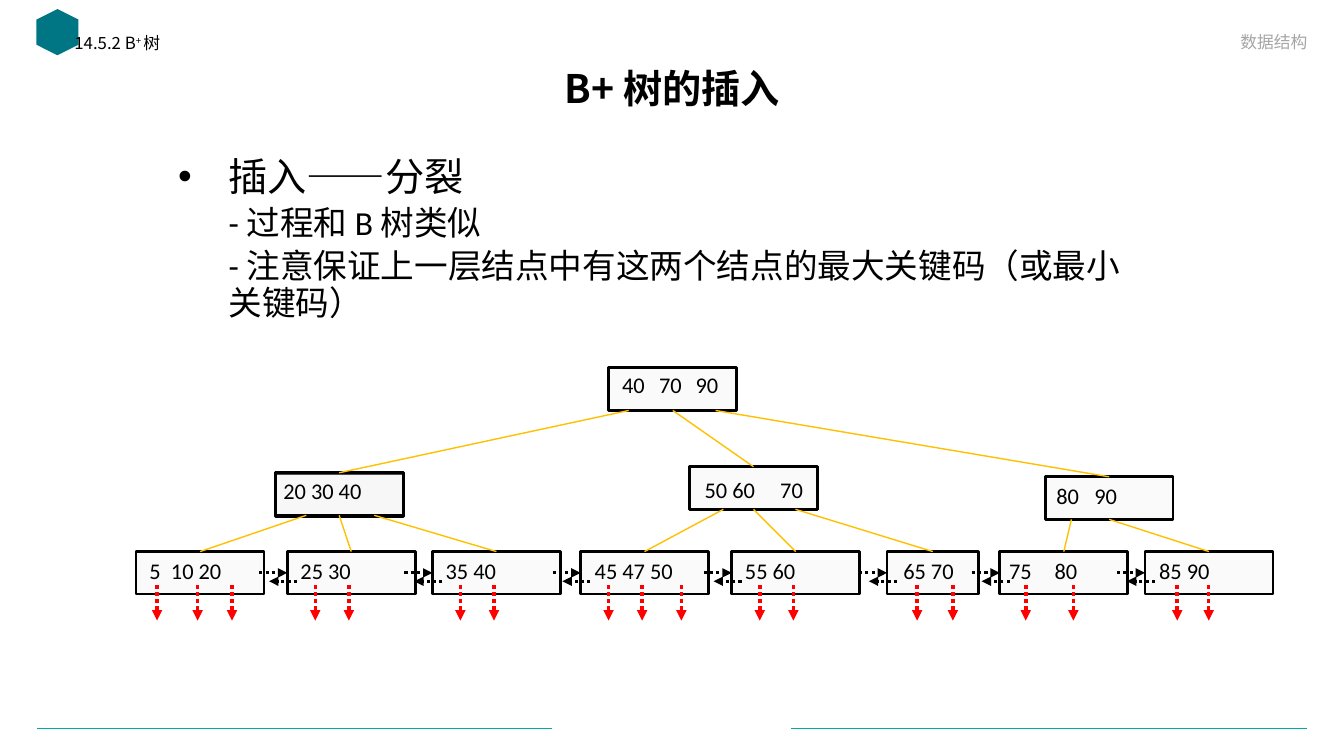
from lxml import etree
from pptx import Presentation
from pptx.dml.color import RGBColor
from pptx.enum import dml, shapes, text
from pptx.oxml.ns import qn
from pptx.util import Pt

COLORS = {
    "ink": "000000", "muted": "A6A6A6", "teal": "00ABA5", "emblem": "007684",
    "node": "F2F2F2", "branch": "FFC000", "record": "FF0000",
}
CJK = "Noto Sans CJK SC"
NODE_W, NODE_H, LEAF_TOP = 91.4, 30.4, 394
RECORD_TOP, RECORD_BOTTOM = 418, 443.3

ROOT = (434.9, 262.8, "40\t70\t90", [26.5, 52.5], 0, 1.4)
INNER = [
    (196.6, 337.7, "20 30 40", [], -3.6, 2),
    (492.5, 333.4, "50 60\t70", [54], 1.4, 5.7),
    (746.6, 340.6, "80\t90", [27], -1.4, 2.2),
]
LEAVES = [
    (97.2, NODE_W, "5\t10 20", [15.5], 0, [15, 44, 68.5]),
    (205.2, NODE_W, "25 30", [], 0, [20, 44]),
    (308.9, NODE_W, "35 40", [], 0, [20, 44]),
    (414.7, NODE_W, "45 47 50", [], 0.7, [20, 44, 72]),
    (522.7, NODE_W, "55 60", [], 0, [20, 44]),
    (633.6, 65.5, "65 70", [], 2.2, [21.5, 47]),
    (714.2, NODE_W, "75\t80", [32.5], -2.8, [18.5, 52.5]),
    (817.9, NODE_W, "85 90", [], 0.7, [23, 45.5]),
]
ROOT_BRANCHES = [-31.5, 0, 30.5]
INNER_BRANCHES = [[-23.5, 0, 25], [-21.5, 0, 30], [-27, 0]]


def color(name):
    return RGBColor.from_string(COLORS[name])


def style_run(run, size, ink="ink", latin=CJK, bold=False):
    run.font.size = Pt(size)
    run.font.bold = bold
    run.font.color.rgb = color(ink)
    run.font.name = latin
    etree.SubElement(run.font._element, qn("a:ea"), typeface=CJK)


def add_text_frame(slide, left, top, width, height):
    box = slide.shapes.add_textbox(Pt(left), Pt(top), Pt(width), Pt(height))
    frame = box.text_frame
    frame.word_wrap = True
    return frame


def add_heading(slide, place, words, size, align, anchor, **style):
    frame = add_text_frame(slide, *place)
    frame.text = words
    frame.vertical_anchor = anchor
    line = frame.paragraphs[0]
    line.alignment = align
    line.line_spacing = 0.9
    style_run(line.runs[0], size, **style)


def add_section(slide):
    line = add_text_frame(slide, 46.1, 21.6, 383, 25.9).paragraphs[0]
    line.line_spacing = 0.9
    for words, baseline in [("14.5.2 B", 0), ("+ ", 30000), ("树", 0)]:
        run = line.add_run()
        run.text = words
        style_run(run, 12)
        run.font._element.set("baseline", str(baseline))


def add_body(slide):
    frame = add_text_frame(slide, 120.2, 108.7, 697.7, 334.8)
    points = ["插入——分裂", "- 过程和 B 树类似",
              "- 注意保证上一层结点中有这两个结点的最大关键码（或最小关键码）"]
    frame.text = "\n".join(points)
    for level, point in enumerate(frame.paragraphs):
        props = point._p.get_or_add_pPr()
        props.set("marL", str(Pt(36)))
        props.set("indent", str(0 if level else -Pt(36)))
        if level:
            point.level = 1
            point.space_before = Pt(5)
        else:
            etree.SubElement(props, qn("a:buFont"), typeface="Arial")
            etree.SubElement(props, qn("a:buChar"), char="•")
        point.line_spacing = 0.9
        style_run(point.runs[0], 24 if level else 28,
                  latin="Calibri" if level else CJK)


def add_line(slide, start, end, ink, width, dotted_arrow=False):
    line = slide.shapes.add_connector(
        shapes.MSO_CONNECTOR.STRAIGHT, *[Pt(v) for v in (*start, *end)])
    line.line.color.rgb = color(ink)
    line.line.width = Pt(width)
    if dotted_arrow:
        line.line.dash_style = dml.MSO_LINE.ROUND_DOT
        etree.SubElement(line.line._get_or_add_ln(), qn("a:tailEnd"), type="triangle")
    etree.SubElement(line._element.spPr, qn("a:effectLst"))
    return line


def add_box(slide, left, top, width=NODE_W):
    box = slide.shapes.add_shape(
        shapes.MSO_SHAPE.RECTANGLE, Pt(left), Pt(top), Pt(width), Pt(NODE_H))
    box.shadow.inherit = False
    box.fill.solid()
    box.fill.fore_color.rgb = color("node")
    tint = box._element.spPr.find(qn("a:solidFill")).find(qn("a:srgbClr"))
    etree.SubElement(tint, qn("a:alpha"), val="32000")
    box.line.color.rgb = color("ink")
    box.line.width = Pt(2)
    return box


def add_keys(slide, left, top, keys, tabs):
    frame = add_text_frame(slide, left, top, NODE_W + 5, 25.9)
    frame.margin_left = frame.margin_right = Pt(9.4)
    frame.margin_top = frame.margin_bottom = Pt(5)
    frame.text = keys
    line = frame.paragraphs[0]
    if tabs:
        stops = etree.SubElement(line._p.get_or_add_pPr(), qn("a:tabLst"))
        for tab in tabs:
            etree.SubElement(stops, qn("a:tab"), pos=str(Pt(tab)), algn="l")
    line.alignment = text.PP_ALIGN.JUSTIFY
    line.line_spacing = 0.8
    style_run(line.runs[0], 16, latin="Calibri")


def add_node(slide, left, top, keys, tabs, dx, dy, width=NODE_W):
    box = add_box(slide, left, top, width)
    add_keys(slide, left + dx, top + dy, keys, tabs)
    return box


def add_branches(slide, parent, children, offsets):
    center = (parent.left + parent.width / 2) / Pt(1)
    bottom = (parent.top + parent.height) / Pt(1)
    for child, offset in zip(children, offsets):
        start = (center + offset, bottom)
        branch = add_line(slide, start, start, "branch", 1)
        if offset == 0:
            branch.begin_connect(parent, 2)
        branch.end_connect(child, 0)


def add_sibling_links(slide, leaf, left):
    middle = LEAF_TOP + NODE_H / 2
    forward = add_line(slide, (left - 20, middle), (left, middle), "ink", 2.25, True)
    forward.end_connect(leaf, 1)
    back = middle + 6
    add_line(slide, (left + 7, back), (left - 13, back), "ink", 2.25, True)


def add_tree(slide):
    root = add_node(slide, *ROOT)
    add_box(slide, 196.6, 338.4)
    inner = [add_node(slide, *node) for node in INNER]
    leaves = [add_node(slide, left, LEAF_TOP, keys, tabs, dx, 3, width)
              for left, width, keys, tabs, dx, _ in LEAVES]
    add_branches(slide, root, inner, ROOT_BRANCHES)
    remaining = iter(leaves)
    for parent, offsets in zip(inner, INNER_BRANCHES):
        add_branches(slide, parent, [next(remaining) for _ in offsets], offsets)
    for left, *_, records in LEAVES:
        for offset in records:
            x = left + offset
            add_line(slide, (x, RECORD_TOP), (x, RECORD_BOTTOM), "record", 2.5, True)
    for leaf, (left, *_) in list(zip(leaves, LEAVES))[1:]:
        add_sibling_links(slide, leaf, left)


def add_emblem(slide):
    emblem = slide.shapes.add_shape(
        shapes.MSO_SHAPE.HEXAGON, Pt(24.5), Pt(8), Pt(33), Pt(30))
    emblem.rotation = 90
    emblem.shadow.inherit = False
    emblem.fill.solid()
    emblem.fill.fore_color.rgb = color("emblem")
    emblem.line.fill.background()


def main():
    deck = Presentation()
    deck.slide_width, deck.slide_height = Pt(960), Pt(540)
    slide = deck.slides.add_slide(deck.slide_layouts[6])
    for right, left in [(394.6, 26.6), (933.8, 565.2)]:
        add_line(slide, (right, 520), (left, 520), "teal", 0.5)
    add_emblem(slide)
    add_heading(slide, (66.2, 44.6, 828, 41), "B+ 树的插入", 28,
                text.PP_ALIGN.CENTER, text.MSO_ANCHOR.MIDDLE, bold=True)
    add_section(slide)
    add_heading(slide, (535, 15.8, 406, 25.2), "数据结构", 12,
                text.PP_ALIGN.RIGHT, text.MSO_ANCHOR.BOTTOM, ink="muted")
    add_body(slide)
    add_tree(slide)
    deck.save("out.pptx")


if __name__ == "__main__":
    main()
